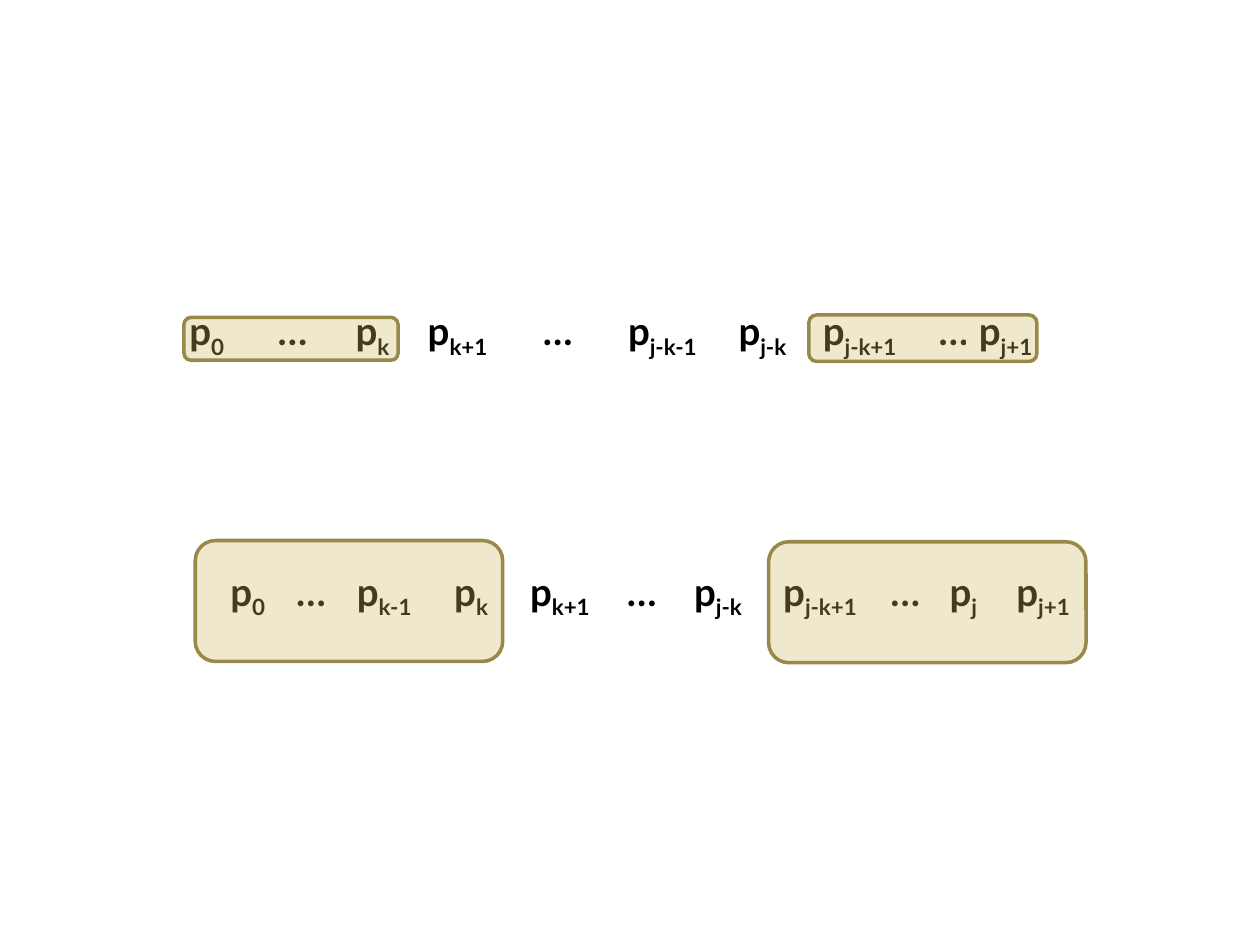
from dataclasses import dataclass

from lxml import etree
from pptx import Presentation
from pptx.dml.color import RGBColor
from pptx.enum.shapes import MSO_SHAPE
from pptx.enum.text import PP_ALIGN
from pptx.oxml.ns import qn
from pptx.util import Pt

ROUNDED = MSO_SHAPE.ROUNDED_RECTANGLE
CENTER, LEFT = PP_ALIGN.CENTER, PP_ALIGN.LEFT


@dataclass(frozen=True)
class Theme:
    """Colours, font and sizes of the slide."""
    font: str = "Lato"
    text: str = "000000"
    border: str = "FFFFFF"
    highlight: str = "CEB966"
    highlight_line: str = "98894B"
    highlight_opacity: int = 32
    text_size: float = 22
    border_width: float = 1
    highlight_width: float = 2


THEME = Theme()

ROWS = [
    {
        "box": (93.6, 172.1, 33.8),
        "columns": [49, 49, 42.5, 54.7, 59.8, 59.8, 54.7, 66.2, 23, 60.5, 52.6],
        "terms": ["p_0", "…", "p_k", "p_k+1", "…", "p_j-k-1", "p_j-k",
                  "p_j-k+1", "…", "p_j+1", ""],
        "first_left_aligned": 7,
        "highlights": [(11.5, 9.3, 122.4, 24.5), (368.6, 7.9, 130.3, 26.6)],
    },
    {
        "box": (121, 321.1, 51.1),
        "columns": [41, 30.2, 54.7, 44.6, 56.9, 36.7, 50.4, 66.2, 33.8, 38.2, 52.6],
        "terms": ["p_0", "…", "p_k-1", "p_k", "p_k+1", "…", "p_j-k",
                  "p_j-k+1", "…", "p_j", "p_j+1"],
        "first_left_aligned": 8,
        "highlights": [(-9.4, -12.2, 175.7, 69.1), (318.2, -11.5, 181.4, 69.1)],
    },
]


def add_text(paragraph, text, *, size=THEME.text_size, color=THEME.text, bold=True, baseline=0):
    """Append one formatted run to a paragraph."""
    run = paragraph.add_run()
    run.text = text
    run.font.name = THEME.font
    run.font.size = Pt(size)
    run.font.bold = bold
    run.font.color.rgb = RGBColor.from_string(color)
    if baseline:
        run.font._element.set("baseline", str(baseline * 1000))


def format_cell(cell):
    """Give a cell thin borders and no fill."""
    properties = cell._tc.get_or_add_tcPr()
    for side in ("lnL", "lnR", "lnT", "lnB"):
        line = etree.SubElement(properties, qn(f"a:{side}"), w=str(Pt(THEME.border_width)))
        fill = etree.SubElement(line, qn("a:solidFill"))
        etree.SubElement(fill, qn("a:srgbClr"), val=THEME.border)
    cell.fill.background()


def add_term_table(slide, left, top, height, columns, terms, first_left_aligned):
    """Place a one-row table of subscripted terms."""
    table = slide.shapes.add_table(
        1, len(columns), Pt(left), Pt(top), Pt(sum(columns)), Pt(height)).table
    table.first_row = table.horz_banding = False
    table.rows[0].height = Pt(height)
    for index, (width, term) in enumerate(zip(columns, terms)):
        table.columns[index].width = Pt(width)
        cell = table.cell(0, index)
        format_cell(cell)
        paragraph = cell.text_frame.paragraphs[0]
        paragraph.alignment = CENTER if index < first_left_aligned else LEFT
        symbol, _, subscript = term.partition("_")
        if symbol:
            add_text(paragraph, symbol)
        if subscript:
            add_text(paragraph, subscript, baseline=-25)


def add_highlight(slide, left, top, width, height):
    """Place a translucent rounded box over a group of terms."""
    shape = slide.shapes.add_shape(ROUNDED, Pt(left), Pt(top), Pt(width), Pt(height))
    shape.shadow.inherit = False
    shape.fill.solid()
    shape.fill.fore_color.rgb = RGBColor.from_string(THEME.highlight)
    color = shape._element.spPr.find(qn("a:solidFill")).find(qn("a:srgbClr"))
    etree.SubElement(color, qn("a:alpha"), val=str(THEME.highlight_opacity * 1000))
    shape.line.color.rgb = RGBColor.from_string(THEME.highlight_line)
    shape.line.width = Pt(THEME.highlight_width)


def add_sequence(slide, box, columns, terms, first_left_aligned, highlights):
    """Place a row of terms and the highlights positioned relative to it."""
    left, top, height = box
    add_term_table(slide, left, top, height, columns, terms, first_left_aligned)
    for offset_x, offset_y, width, highlight_height in highlights:
        add_highlight(slide, left + offset_x, top + offset_y, width, highlight_height)


def main():
    """Build and save the presentation."""
    presentation = Presentation()
    presentation.slide_width, presentation.slide_height = Pt(720), Pt(540)
    slide = presentation.slides.add_slide(presentation.slide_layouts[6])
    for row in ROWS:
        add_sequence(slide, **row)
    presentation.save("out.pptx")


if __name__ == "__main__":
    main()
